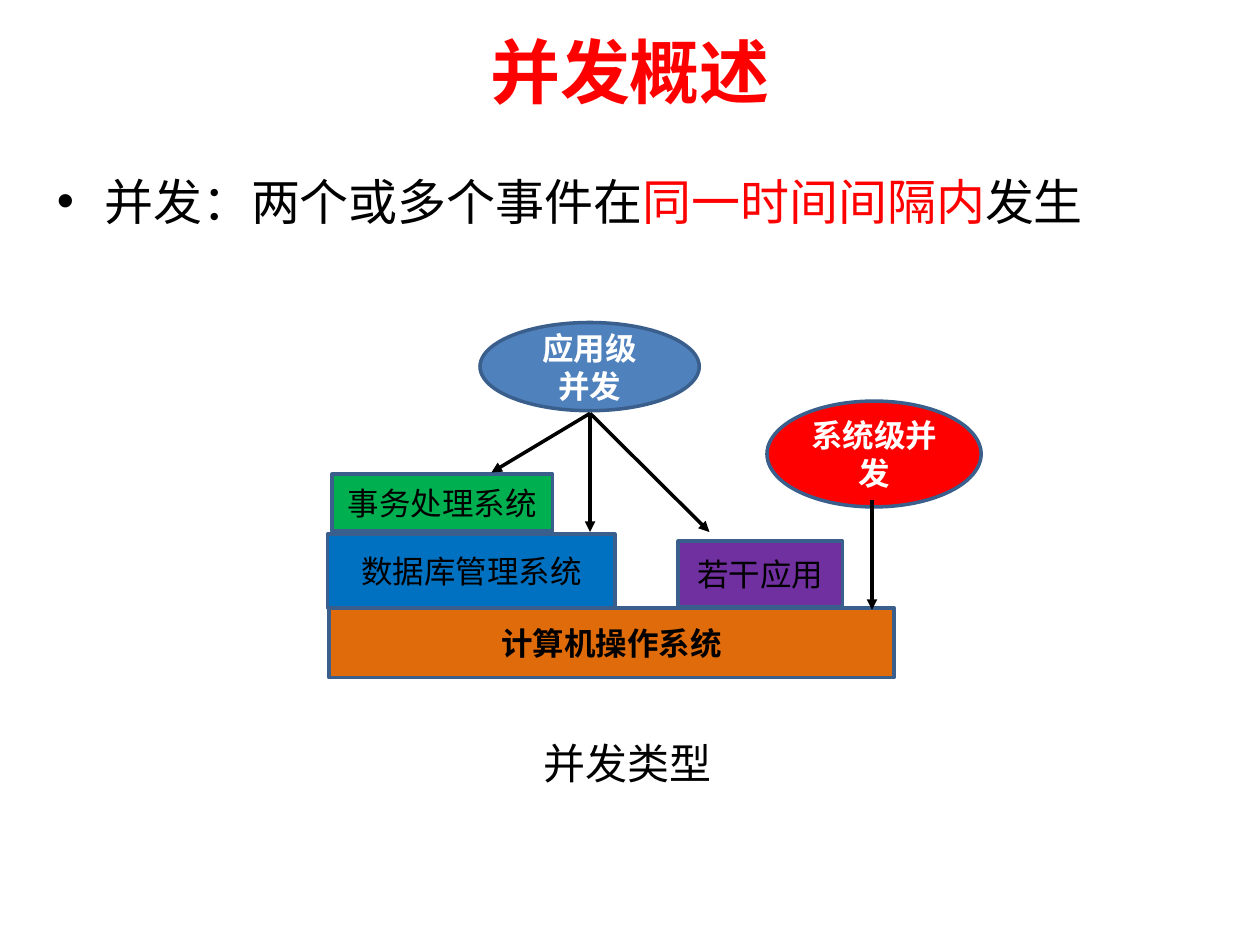
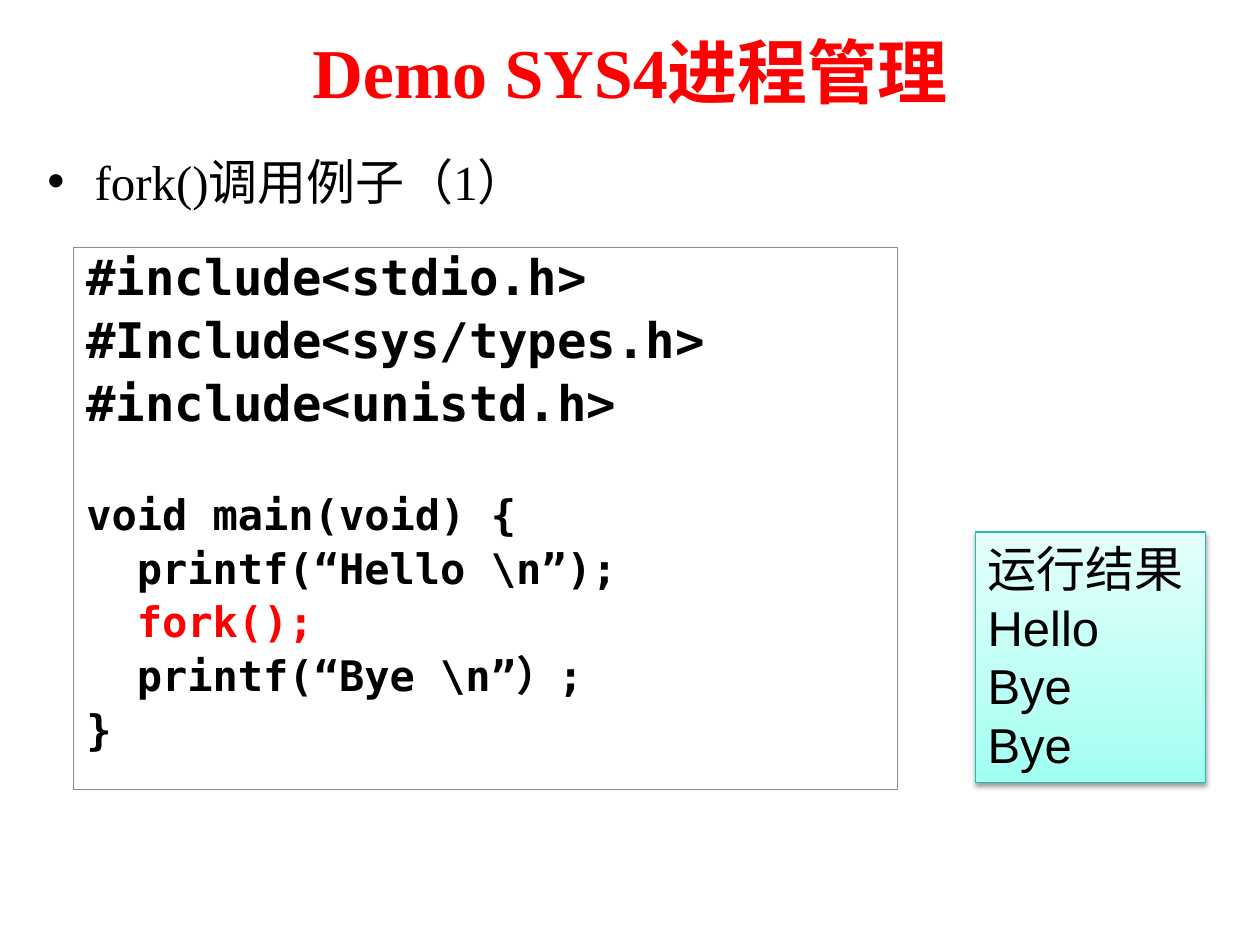
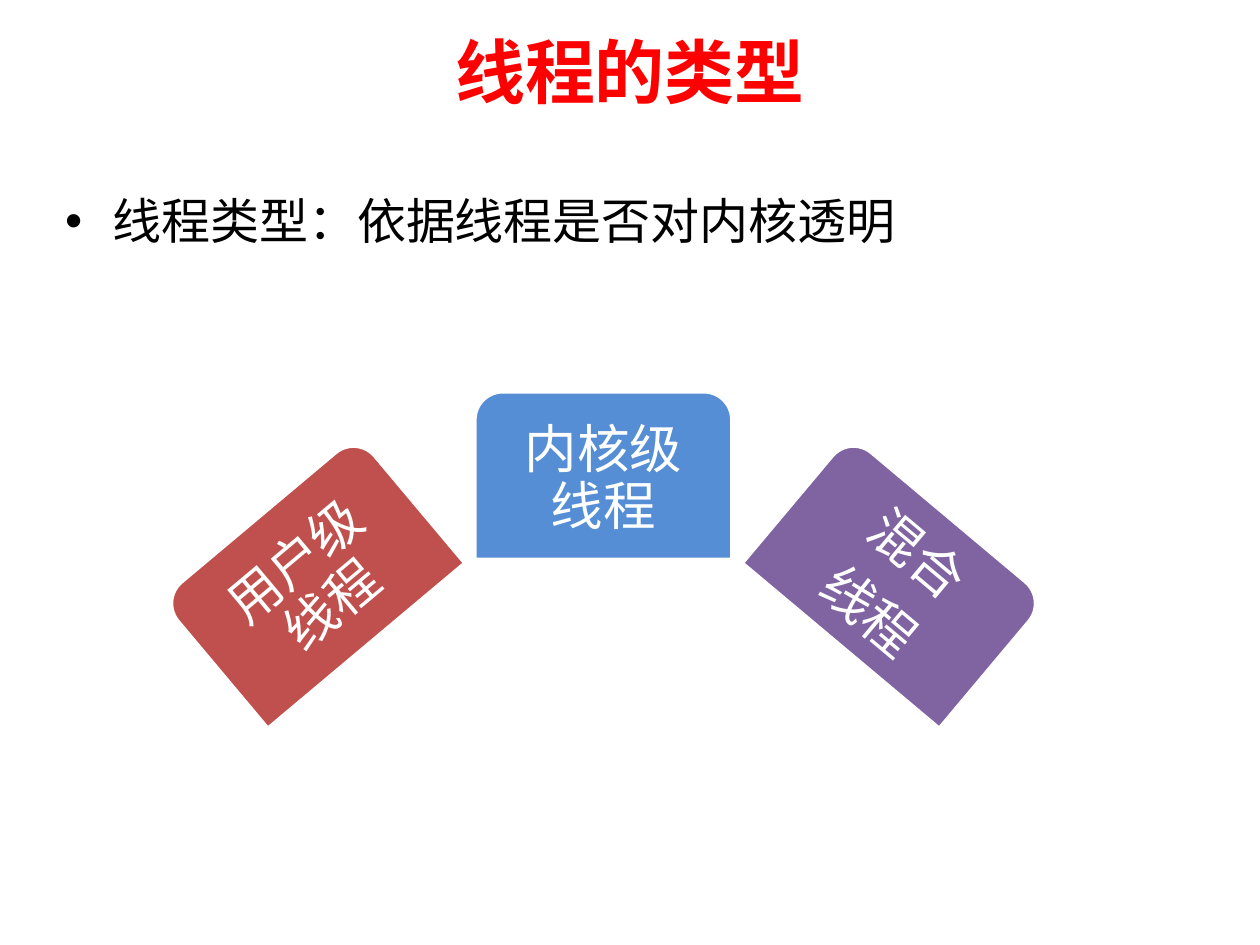
from dataclasses import dataclass

from lxml import etree
from pptx import Presentation
from pptx.dml.color import RGBColor
from pptx.enum import shapes, text
from pptx.oxml import ns
from pptx.util import Pt

RED = RGBColor(0xFF, 0x00, 0x00)
BLACK = RGBColor(0x00, 0x00, 0x00)
WHITE = RGBColor(0xFF, 0xFF, 0xFF)
OUTLINE = RGBColor(0x3A, 0x5F, 0x8C)
GREEN = RGBColor(0x00, 0xB0, 0x50)
BLUE = RGBColor(0x00, 0x70, 0xC0)
PURPLE = RGBColor(0x70, 0x30, 0xA0)
ORANGE = RGBColor(0xE0, 0x6B, 0x0A)
STEEL = RGBColor(0x4F, 0x81, 0xBD)
GREY = RGBColor(0x8C, 0x8C, 0x8C)
TEAL = RGBColor(0x2A, 0xB9, 0xAC)
BRICK = RGBColor(0xC0, 0x50, 0x4D)
SKY = RGBColor(0x55, 0x8E, 0xD5)
VIOLET = RGBColor(0x80, 0x64, 0xA2)
MINT_STOPS = [(0, "9FFFF1"), (35, "BBFFF5"), (100, "E5FFFB")]

SERIF, SANS, LABEL = "Times New Roman", "Arial", "Calibri"
CJK, MONO = "Noto Sans CJK SC", "DejaVu Sans Mono"
RECT = shapes.MSO_SHAPE.RECTANGLE
OVAL = shapes.MSO_SHAPE.OVAL
TAB = shapes.MSO_SHAPE.ROUND_2_SAME_RECTANGLE
CENTER = text.PP_ALIGN.CENTER
MIDDLE = text.MSO_ANCHOR.MIDDLE


@dataclass(frozen=True)
class Box:
    left: float
    top: float
    width: float
    height: float


@dataclass(frozen=True)
class Style:
    size: float
    font: str
    color: RGBColor = BLACK
    bold: bool = False


@dataclass(frozen=True)
class Block:
    box: Box
    fill: RGBColor
    lines: tuple[str, ...]
    style: Style
    kind: shapes.MSO_SHAPE = RECT


@dataclass(frozen=True)
class Thread:
    left: float
    top: float
    angle: float
    fill: RGBColor
    lines: tuple[str, ...]


TITLE = Style(40, SERIF, RED, True)
BODY = Style(28, SERIF)
BODY_CJK = Style(28, CJK)
LAYER = Style(18, LABEL)
LAYER_BOLD = Style(18, CJK, BLACK, True)
OVAL_LABEL = Style(18, CJK, WHITE, True)
THREAD_LABEL = Style(30, SERIF, WHITE)
INCLUDE = Style(28, MONO, BLACK, True)
CODE = Style(24, MONO, BLACK, True)
CODE_RED = Style(24, MONO, RED, True)

BLOCKS = [
    Block(Box(189.8, 271, 126, 32.5), GREEN, ("事务处理系统",), LAYER),
    Block(Box(187.2, 305.2, 164.2, 42.5), BLUE, ("数据库管理系统",), LAYER),
    Block(Box(387.5, 309.3, 93.9, 37.4), PURPLE, ("若干应用",), LAYER),
    Block(Box(188, 347.5, 323, 39.6), ORANGE, ("计算机操作系统",), LAYER_BOLD),
    Block(Box(274.3, 184.3, 125.3, 50.4), STEEL, ("应用级", "并发"), OVAL_LABEL, OVAL),
    Block(Box(438.3, 229.2, 122.4, 60.5), RED, ("系统级并发",), OVAL_LABEL, OVAL),
]
FAN_START = (337.2, 236.2)
ARROWS = [
    (FAN_START, (280.8, 270)),
    (FAN_START, (337.2, 304)),
    (FAN_START, (405.4, 304)),
    ((498.3, 285.8), (498.3, 348.5)),
]
SOURCE = [
    [("#include<stdio.h>", INCLUDE)],
    [("#Include<sys/types.h>", INCLUDE)],
    [("#include<unistd.h>", INCLUDE)],
    [("void main(void) {", CODE)],
    [("  printf(“Hello \\n”);", CODE)],
    [("  ", CODE), ("fork();", CODE_RED)],
    [("  printf(“Bye \\n”）;", CODE)],
    [("}", CODE)],
]
MAIN_LINE = 3
THREADS = [
    Thread(105.1, 284.4, 320, BRICK, ("用户级线程",)),
    Thread(271.4, 223.9, 0, SKY, ("内核级线程",)),
    Thread(437.8, 284.4, 40, VIOLET, ("混合", "线程")),
]


def place(box: Box) -> tuple:
    return Pt(box.left), Pt(box.top), Pt(box.width), Pt(box.height)


def sub(parent, tag: str, **attrs):
    return etree.SubElement(parent, ns.qn(tag), attrs)


def add_run(p, words: str, style: Style) -> None:
    r = p.add_run()
    r.text = words
    r.font.size, r.font.name, r.font.bold = Pt(style.size), style.font, style.bold
    r.font.color.rgb = style.color
    sub(r.font._element, "a:ea", typeface=CJK)


def write(tf, paragraphs, align=text.PP_ALIGN.LEFT, anchor=text.MSO_ANCHOR.TOP) -> None:
    """Fill a frame; each paragraph is a list of (words, style) runs."""
    tf.word_wrap, tf.vertical_anchor = True, anchor
    for i, runs in enumerate(paragraphs):
        p = tf.add_paragraph() if i else tf.paragraphs[0]
        p.alignment = align
        for words, style in runs:
            add_run(p, words, style)


def add_text(s, box: Box, paragraphs, **layout):
    tf = s.shapes.add_textbox(*place(box)).text_frame
    write(tf, paragraphs, **layout)
    return tf


def add_shape(s, kind, box: Box, line: RGBColor, width: float, fill: RGBColor | None = None):
    sp = s.shapes.add_shape(kind, *place(box))
    sp.shadow.inherit = False
    if fill is None:
        sp.fill.background()
    else:
        sp.fill.solid()
        sp.fill.fore_color.rgb = fill
    sp.line.color.rgb, sp.line.width = line, Pt(width)
    return sp


def add_slide(prs, title: str, body: Box, bullet):
    """Start a slide with its red title and one bulleted line."""
    s = prs.slides.add_slide(prs.slide_layouts[6])
    add_text(s, Box(0, 3.6, 720, 73.4), [[(title, TITLE)]], align=CENTER, anchor=MIDDLE)
    tf = add_text(s, body, [bullet])
    pPr = tf.paragraphs[0]._p.get_or_add_pPr()
    pPr.set("marL", str(Pt(27)))
    pPr.set("indent", str(-Pt(27)))
    sub(pPr, "a:buFont", typeface=SANS)
    sub(pPr, "a:buChar", char="•")
    return s


def add_arrow(s, start: tuple[float, float], end: tuple[float, float]) -> None:
    c = s.shapes.add_connector(shapes.MSO_CONNECTOR.STRAIGHT, *map(Pt, start + end))
    c.line.color.rgb, c.line.width = BLACK, Pt(2)
    sub(c.line._get_or_add_ln(), "a:tailEnd", type="triangle")
    sub(c._element.spPr, "a:effectLst")


def add_mint_effects(sp) -> None:
    """Give a shape the mint gradient, darkest at the bottom, and a soft shadow."""
    sp.fill.gradient()
    sp.fill.gradient_angle = 90
    spPr = sp._element.spPr
    stops = spPr.find(ns.qn("a:gradFill")).find(ns.qn("a:gsLst"))
    for stop in list(stops):
        stops.remove(stop)
    for position, color in MINT_STOPS:
        sub(sub(stops, "a:gs", pos=str(position * 1000)), "a:srgbClr", val=color)
    shadow = sub(spPr.find(ns.qn("a:effectLst")), "a:outerShdw", blurRad=str(Pt(3.1)),
                 dist=str(Pt(1.6)), dir="5400000", rotWithShape="0")
    sub(sub(shadow, "a:srgbClr", val="000000"), "a:alpha", val="38000")


def concurrency_slide(prs) -> None:
    s = add_slide(prs, "并发概述", Box(25.5, 94.3, 648, 356.4), [
        ("并发：", BODY),
        ("两个或多个事件在", BODY_CJK),
        ("同一时间间隔内", Style(28, CJK, RED)),
        ("发生", BODY_CJK),
    ])
    for b in BLOCKS:
        sp = add_shape(s, b.kind, b.box, OUTLINE, 2, b.fill)
        write(sp.text_frame, [[(line, b.style)] for line in b.lines], CENTER, MIDDLE)
    for start, end in ARROWS:
        add_arrow(s, start, end)
    add_text(s, Box(303.5, 418, 125.3, 36), [[("并发类型", Style(24, SANS))]])


def fork_slide(prs) -> None:
    s = add_slide(prs, "Demo SYS4进程管理", Box(20, 82.8, 663.8, 383.8),
                  [("fork()调用例子（1）", BODY)])
    tf = add_shape(s, RECT, Box(42.2, 141.4, 470.7, 310), GREY, 0.5).text_frame
    write(tf, SOURCE)
    for i, p in enumerate(tf.paragraphs):
        p.line_spacing = 0.9
        if i:
            p.space_before = Pt(5.6 if i < MAIN_LINE else 4.8)
    tf.paragraphs[MAIN_LINE].space_before = Pt(35.5)

    result = add_shape(s, RECT, Box(557.3, 304, 131.8, 143.3), TEAL, 0.75)
    add_mint_effects(result)
    write(result.text_frame,
          [[(line, Style(28, SANS))] for line in ("运行结果", "Hello", "Bye", "Bye")])


def thread_slide(prs) -> None:
    s = add_slide(prs, "线程的类型", Box(30.2, 105.5, 669.6, 356.4),
                  [("线程类型：依据线程是否对内核透明", BODY)])
    for t in THREADS:
        sp = add_shape(s, TAB, Box(t.left, t.top, 146.9, 95.8), WHITE, 2, t.fill)
        sp.rotation = t.angle
        tf = sp.text_frame
        tf.margin_left = tf.margin_right = Pt(9.5)
        tf.margin_top = tf.margin_bottom = Pt(2.9)
        write(tf, [[(line, THREAD_LABEL)] for line in t.lines], CENTER, MIDDLE)
        for p in tf.paragraphs:
            p.line_spacing, p.space_after = 0.9, Pt(10.5)


def main() -> None:
    prs = Presentation()
    prs.slide_width, prs.slide_height = Pt(720), Pt(540)
    concurrency_slide(prs)
    fork_slide(prs)
    thread_slide(prs)
    prs.save("out.pptx")


if __name__ == "__main__":
    main()
